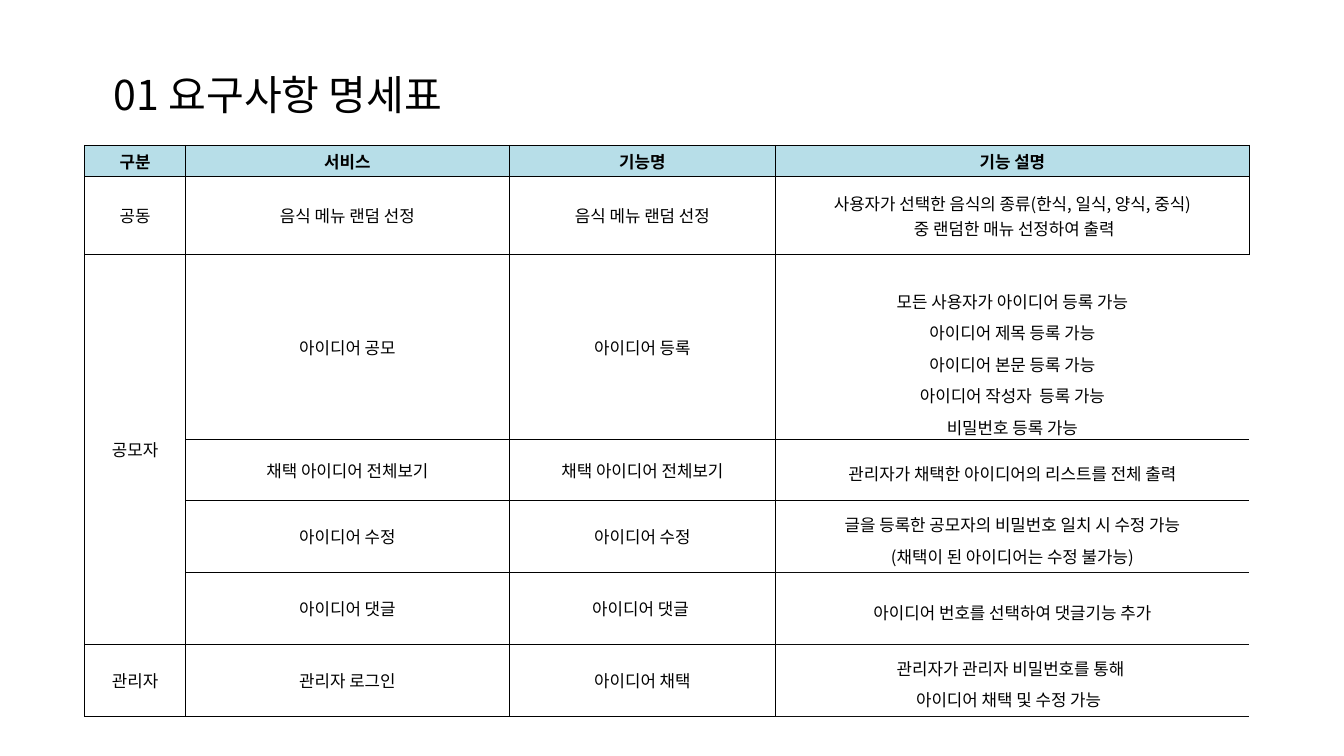
"""Build the requirements specification slide with its merged table."""
from dataclasses import dataclass

from lxml.etree import SubElement
from pptx import Presentation
from pptx.dml.color import RGBColor
from pptx.enum.text import MSO_ANCHOR as Anchor, MSO_AUTO_SIZE as AutoSize, PP_ALIGN as Align
from pptx.oxml.ns import qn
from pptx.util import Cm, Pt

COLORS = {"ink": "000000", "soft": "0D0D0D", "header": "B7DEE8", "paper": "FFFFFF"}
FONT = "Noto Sans CJK KR"
COLUMN_WIDTHS = (3.81, 12.24, 10.06, 17.91)
HEADERS = ("구분", "서비스", "기능명", "기능 설명")
LAST_COLUMN = len(HEADERS) - 1


@dataclass(frozen=True)
class Requirement:
    group: str
    service: str
    feature: str
    details: tuple[str, ...]
    height: float
    spacing: float | None = 1.3
    top_margin: float | None = None
    paper: bool = False
    open_right: bool = True
    soft_top: bool = False
    soft_bottom: bool = False


REQUIREMENTS = (
    Requirement("공동", "음식 메뉴 랜덤 선정", "음식 메뉴 랜덤 선정",
                ("사용자가 선택한 음식의 종류(한식, 일식, 양식, 중식)", " 중 랜덤한 매뉴 선정하여 출력"),
                2.97, spacing=None, paper=True, open_right=False),
    Requirement("공모자", "아이디어 공모", "아이디어 등록",
                ("모든 사용자가 아이디어 등록 가능", "아이디어 제목 등록 가능",
                 "아이디어 본문 등록 가능", "아이디어 작성자  등록 가능", "비밀번호 등록 가능"),
                6.96, top_margin=1.0),
    Requirement("", "채택 아이디어 전체보기", "채택 아이디어 전체보기",
                ("관리자가 채택한 아이디어의 리스트를 전체 출력",), 2.31),
    Requirement("", "아이디어 수정", "아이디어 수정",
                ("글을 등록한 공모자의 비밀번호 일치 시 수정 가능", "(채택이 된 아이디어는 수정 불가능)"),
                2.72, soft_bottom=True),
    Requirement("", "아이디어 댓글", "아이디어 댓글 ",
                ("아이디어 번호를 선택하여 댓글기능 추가",), 2.72, soft_top=True, soft_bottom=True),
    Requirement("관리자", "관리자 로그인", "아이디어 채택",
                ("관리자가 관리자 비밀번호를 통해 ", "아이디어 채택 및 수정 가능  "),
                2.72, soft_top=True, soft_bottom=True),
)


def format_paragraph(paragraph, size: int, alignment, bold: bool = False) -> None:
    """Apply the slide font to a paragraph, for Latin and Korean letters."""
    paragraph.alignment = alignment
    font = paragraph.font
    font.name, font.size, font.bold = FONT, Pt(size), bold
    font.color.rgb = RGBColor.from_string(COLORS["ink"])
    properties = paragraph._p.pPr.find(qn("a:defRPr"))
    SubElement(properties, qn("a:ea"), typeface=FONT)


def add_border(cell, side: str, color: str | None = "ink", width: float = 1) -> None:
    """Draw one cell edge, or hide it when there is no color."""
    line = SubElement(cell._tc.get_or_add_tcPr(), qn(f"a:ln{side}"), w=str(Pt(width)))
    if color is None:
        SubElement(line, qn("a:noFill"))
    else:
        fill = SubElement(line, qn("a:solidFill"))
        SubElement(fill, qn("a:srgbClr"), val=COLORS[color])


def fill_cell(cell, lines: tuple[str, ...], fill: str | None = None, bold: bool = False,
              spacing: float | None = None, borders: dict[str, tuple] | None = None) -> None:
    """Write centred lines into a cell and set its edges and fill."""
    cell.vertical_anchor = Anchor.MIDDLE
    for side in "LRTB":
        add_border(cell, side, *(borders or {}).get(side, ()))
    if fill:
        cell.fill.solid()
        cell.fill.fore_color.rgb = RGBColor.from_string(COLORS[fill])
    else:
        cell.fill.background()
    cell.text = "\n".join(lines)
    for paragraph in cell.text_frame.paragraphs:
        format_paragraph(paragraph, 18, Align.CENTER, bold)
        if spacing:
            paragraph.line_spacing = spacing


def add_title(slide, text: str) -> None:
    """Place and format the title placeholder."""
    title = slide.shapes.title
    title.left, title.top, title.width, title.height = Cm(4.04), Cm(2.49), Cm(15.16), Cm(2.13)
    frame = title.text_frame
    frame.text = text
    frame.word_wrap = True
    frame.auto_size = AutoSize.NONE
    frame.vertical_anchor = Anchor.TOP
    format_paragraph(frame.paragraphs[0], 44, Align.LEFT)


def fill_requirement(table, row: int, requirement: Requirement) -> None:
    """Fill one table row from a requirement."""
    table.rows[row].height = Cm(requirement.height)
    fill = "paper" if requirement.paper else None
    labels = (requirement.group, requirement.service, requirement.feature)
    for column, label in enumerate(labels):
        fill_cell(table.cell(row, column), (label,), fill)
    borders = {}
    if requirement.open_right:
        borders["R"] = (None,)
    if requirement.soft_top:
        borders["T"] = ("soft", 0.75)
    if requirement.soft_bottom:
        borders["B"] = ("soft", 0.75)
    cell = table.cell(row, LAST_COLUMN)
    fill_cell(cell, requirement.details, fill, spacing=requirement.spacing, borders=borders)
    if requirement.top_margin:
        cell.margin_top, cell.margin_bottom = Cm(requirement.top_margin), Cm(0)


def add_requirement_table(slide) -> None:
    """Add the table with its header, rows and merged group cell."""
    header_height = 1.14
    total_height = header_height + sum(item.height for item in REQUIREMENTS)
    table = slide.shapes.add_table(len(REQUIREMENTS) + 1, len(HEADERS), Cm(3.2), Cm(5.49),
                                   Cm(sum(COLUMN_WIDTHS)), Cm(total_height)).table
    table.first_row = table.horz_banding = False
    table.rows[0].height = Cm(header_height)
    for column, (width, header) in enumerate(zip(COLUMN_WIDTHS, HEADERS)):
        table.columns[column].width = Cm(width)
        fill_cell(table.cell(0, column), (header,), "header", bold=True)
    for row, requirement in enumerate(REQUIREMENTS, start=1):
        fill_requirement(table, row, requirement)
    table.cell(2, 0).merge(table.cell(5, 0))


def main() -> None:
    """Create and save the presentation."""
    presentation = Presentation()
    presentation.slide_width, presentation.slide_height = Cm(50.8), Cm(28.58)
    slide = presentation.slides.add_slide(presentation.slide_layouts[5])
    add_title(slide, "01 요구사항 명세표")
    add_requirement_table(slide)
    presentation.save("out.pptx")


if __name__ == "__main__":
    main()
